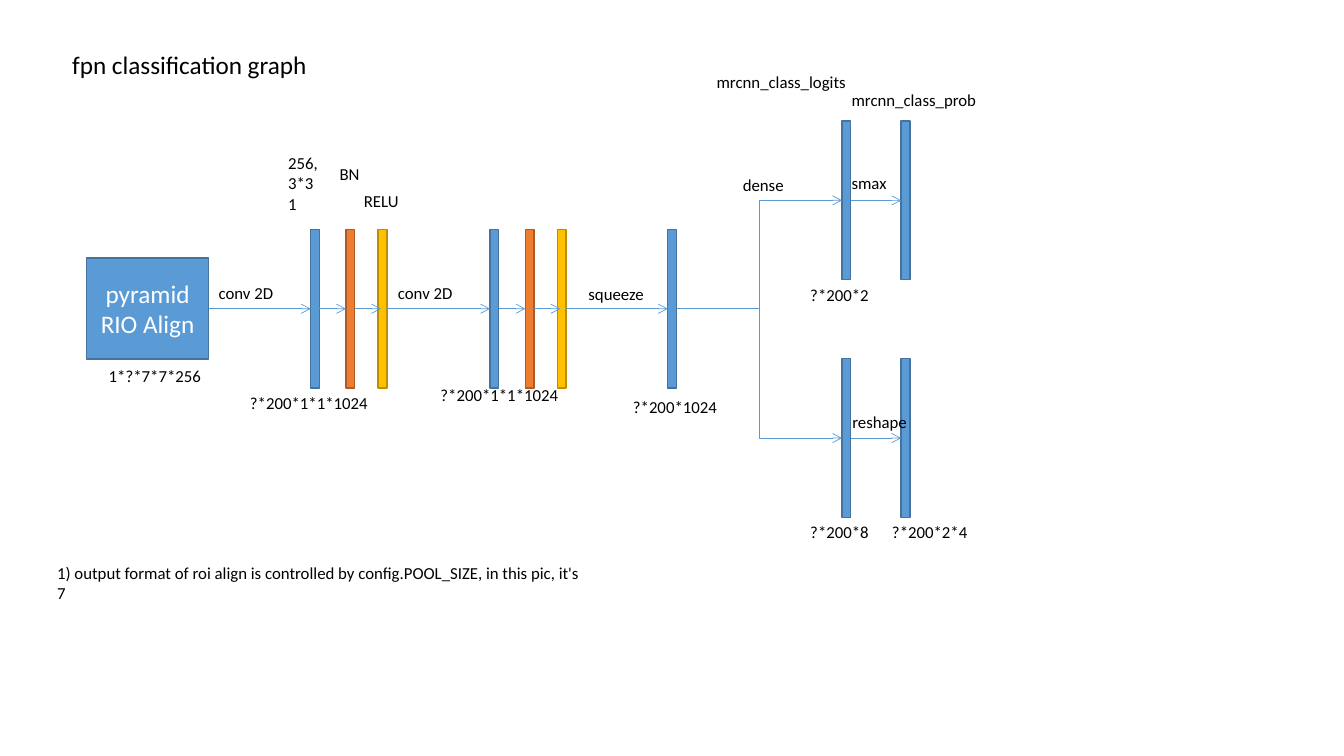
from lxml import etree
from pptx import Presentation
from pptx import util as u
from pptx.dml.color import RGBColor
from pptx.enum import shapes, text
from pptx.oxml.ns import qn

BLUE = RGBColor(0x5B, 0x9B, 0xD5)
DARK_BLUE = RGBColor(0x43, 0x73, 0x9E)
ORANGE = RGBColor(0xED, 0x7D, 0x31)
DARK_ORANGE = RGBColor(0xAF, 0x5C, 0x24)
GOLD = RGBColor(0xFF, 0xC0, 0x00)
DARK_GOLD = RGBColor(0xBD, 0x8E, 0x00)
BLACK = RGBColor(0, 0, 0)
WHITE = RGBColor(0xFF, 0xFF, 0xFF)

FONT = "Calibri"
BAR_WIDTH, BAR_HEIGHT = 0.22, 4.0
MAIN_Y, CLASS_Y, BOX_Y = 7.78, 5.05, 11.04  # centre lines of the three rows
BLOCK_STEP = 4.52
SQUEEZE_X, DENSE_X, OUTPUT_X = 16.83, 21.22, 22.71

# left, top, width, text
LABELS = [
    (7.01, 3.73, 1.93, "256, 3*3\n1"),
    (8.31, 3.99, 1.22, "BN"),
    (8.92, 4.67, 1.93, "RELU"),
    (14.58, 7.03, 1.93, "squeeze"),
    (2.49, 9.09, 4.67, "1*?*7*7*256"),
    (6.05, 9.78, 4.67, "?*200*1*1*1024"),
    (10.85, 9.58, 4.67, "?*200*1*1*1024"),
    (15.7, 9.86, 4.67, "?*200*1024"),
    (17.81, 1.68, 7.06, "mrcnn_class_logits"),
    (21.21, 2.13, 7.06, "mrcnn_class_prob"),
    (18.47, 4.29, 1.7, "dense"),
    (21.21, 4.24, 1.7, "smax"),
    (20.17, 7.04, 2.06, "?*200*2"),
    (21.23, 10.26, 2.41, "reshape"),
    (20.17, 13.03, 2.06, "?*200*8"),
    (22.23, 13.03, 2.77, "?*200*2*4"),
    (1.19, 14.05, 13.97,
     "1) output format of roi align is controlled by config.POOL_SIZE, "
     "in this pic, it's 7"),
]


def style_text(frame, size, color):
    """Give all runs of a text frame one font, size and colour."""
    for paragraph in frame.paragraphs:
        for run in paragraph.runs:
            run.font.name = FONT
            run.font.size = u.Pt(size)
            run.font.color.rgb = color


def add_label(slide, left, top, width, words, size=12, height=0.77, wrap=True):
    """Add black text that grows downwards."""
    box = slide.shapes.add_textbox(u.Cm(left), u.Cm(top), u.Cm(width), u.Cm(height))
    frame = box.text_frame
    frame.text = words
    frame.word_wrap = wrap
    frame.auto_size = text.MSO_AUTO_SIZE.SHAPE_TO_FIT_TEXT
    style_text(frame, size, BLACK)


def add_box(slide, left, top, width, height, fill=BLUE, line=DARK_BLUE):
    """Add a filled and outlined rectangle."""
    shape = slide.shapes.add_shape(shapes.MSO_SHAPE.RECTANGLE, u.Cm(left),
                                   u.Cm(top), u.Cm(width), u.Cm(height))
    shape.shadow.inherit = False
    shape.fill.solid()
    shape.fill.fore_color.rgb = fill
    shape.line.color.rgb = line
    shape.line.width = u.Pt(1)
    return shape


def add_bar(slide, left, center_y, fill=BLUE, line=DARK_BLUE):
    """Add a layer bar centred on a row."""
    add_box(slide, left, center_y - BAR_HEIGHT / 2, BAR_WIDTH, BAR_HEIGHT, fill, line)


def add_arrow(slide, start_x, end_x, start_y=MAIN_Y, end_y=None):
    """Add an arrow, bent when it changes rows."""
    end_y = start_y if end_y is None else end_y
    kinds = shapes.MSO_CONNECTOR
    kind = kinds.STRAIGHT if end_y == start_y else kinds.ELBOW
    arrow = slide.shapes.add_connector(kind, u.Cm(start_x), u.Cm(start_y),
                                       u.Cm(end_x), u.Cm(end_y))
    arrow.line.color.rgb = BLUE
    arrow.line.width = u.Pt(0.5)
    etree.SubElement(arrow.line._get_or_add_ln(), qn("a:tailEnd"), type="arrow")
    etree.SubElement(arrow._element.spPr, qn("a:effectLst"))


def add_conv_block(slide, left):
    """Add a convolution, batch norm and activation with their arrows."""
    norm_x, relu_x = left + 0.89, left + 1.7
    add_bar(slide, left, MAIN_Y)
    add_bar(slide, norm_x, MAIN_Y, ORANGE, DARK_ORANGE)
    add_bar(slide, relu_x, MAIN_Y, GOLD, DARK_GOLD)
    add_arrow(slide, left - 2.57, left)
    add_arrow(slide, left + BAR_WIDTH, norm_x)
    add_arrow(slide, norm_x + BAR_WIDTH, relu_x + 0.07)
    add_label(slide, left - 2.57, 7.01, 1.93, "conv 2D")


def add_branch(slide, center_y):
    """Add one output branch of two bars."""
    add_bar(slide, DENSE_X, center_y)
    add_bar(slide, OUTPUT_X, center_y)
    add_arrow(slide, SQUEEZE_X + BAR_WIDTH, DENSE_X, MAIN_Y, center_y)
    add_arrow(slide, DENSE_X + BAR_WIDTH, OUTPUT_X, center_y)


def main():
    """Build the classification graph slide."""
    presentation = Presentation()
    presentation.slide_width = u.Cm(33.87)
    presentation.slide_height = u.Cm(19.05)
    slide = presentation.slides.add_slide(presentation.slide_layouts[6])

    add_label(slide, 1.57, 1.12, 6.43, "fpn classification graph",
              size=18, height=1.02, wrap=False)

    align = add_box(slide, 2.18, 6.5, 3.08, 2.55)
    frame = align.text_frame
    frame.text = "pyramid RIO Align"
    frame.word_wrap = True
    frame.vertical_anchor = text.MSO_ANCHOR.MIDDLE
    frame.paragraphs[0].alignment = text.PP_ALIGN.CENTER
    style_text(frame, 18, WHITE)

    for block in range(2):
        add_conv_block(slide, 7.83 + block * BLOCK_STEP)

    add_bar(slide, SQUEEZE_X, MAIN_Y)
    add_arrow(slide, 14.25, SQUEEZE_X)
    for center_y in (CLASS_Y, BOX_Y):
        add_branch(slide, center_y)
    for label in LABELS:
        add_label(slide, *label)

    presentation.save("out.pptx")


main()
